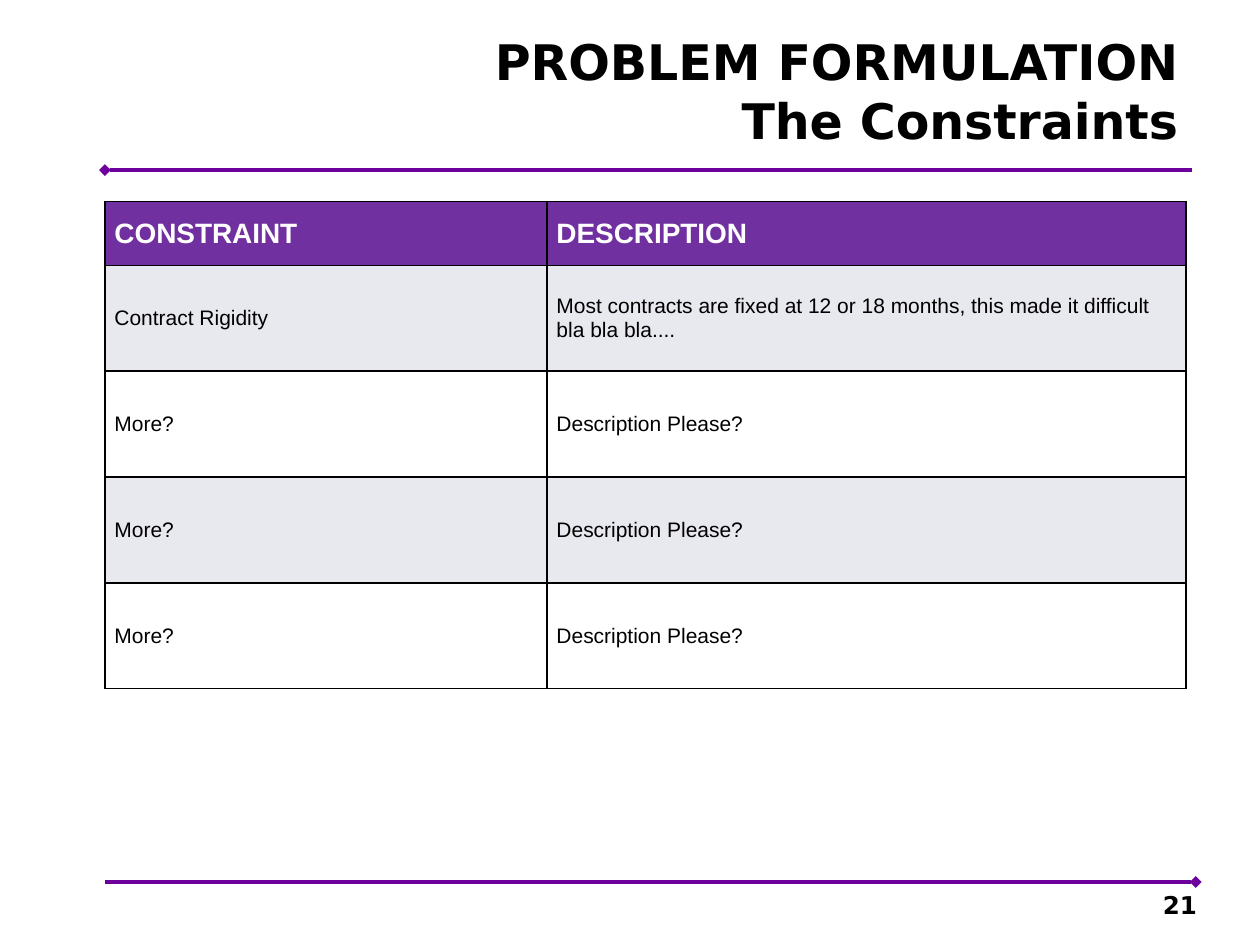
from copy import deepcopy
from dataclasses import dataclass
from typing import Any

from pptx import Presentation
from pptx.dml.color import RGBColor as Rgb
from pptx.enum.shapes import MSO_CONNECTOR as Connector
from pptx.enum.text import MSO_ANCHOR as Anchor, MSO_AUTO_SIZE as AutoSize, PP_ALIGN as Align
from pptx.oxml.ns import qn
from pptx.util import Pt
from lxml.etree import SubElement


@dataclass(frozen=True)
class Theme:
    rule: str = "6D009D"
    header: str = "7030A0"
    band: str = "E8E8EF"
    white: str = "FFFFFF"
    black: str = "000000"
    display_font: str = "DejaVu Sans"
    table_font: str = "Arial"
    title_size: float = 28
    header_size: float = 16
    number_size: float = 14
    body_size: float = 12


@dataclass(frozen=True)
class TextStyle:
    font: str
    size: float
    color: str
    bold: bool


@dataclass(frozen=True)
class Rule:
    left: float
    right: float
    top: float
    diamond_end: str


THEME = Theme()
TITLE = TextStyle(THEME.display_font, THEME.title_size, THEME.black, True)
NUMBER = TextStyle(THEME.display_font, THEME.number_size, THEME.black, True)
HEADER = TextStyle(THEME.table_font, THEME.header_size, THEME.white, True)
BODY = TextStyle(THEME.table_font, THEME.body_size, THEME.black, False)

RULES = [Rule(60, 681, 97.2, "headEnd"), Rule(60, 683.3, 504, "tailEnd")]
ROWS = [
    ("CONSTRAINT", "DESCRIPTION"),
    ("Contract Rigidity",
     "Most contracts are fixed at 12 or 18 months, this made it difficult bla bla bla...."),
    *[("More?", "Description Please?")] * 3,
]
COLUMN_WIDTHS = (252.6, 365)
HEADER_HEIGHT, BODY_HEIGHT = 36.4, 60.5


def set_all(target: Any, values: dict[str, Any]) -> None:
    for name, value in values.items():
        setattr(target, name, value)


def write_text(frame: Any, text: str, style: TextStyle, align: Align) -> None:
    frame.text = text
    for paragraph in frame.paragraphs:
        set_all(paragraph, {"alignment": align, "space_before": Pt(0)})
        for run in paragraph.runs:
            set_all(run.font, {"name": style.font, "size": Pt(style.size), "bold": style.bold})
            run.font.color.rgb = Rgb.from_string(style.color)
        # Line breaks take the run format so that line heights agree
        for line_break in paragraph._p.findall(qn("a:br")):
            line_break.append(deepcopy(paragraph.runs[0].font._element))


def place(shape: Any, left: float, top: float, width: float, height: float) -> None:
    set_all(shape, {"left": Pt(left), "top": Pt(top), "width": Pt(width), "height": Pt(height)})


def set_frame(frame: Any, anchor: Anchor, right_inset: float) -> None:
    set_all(frame, {
        "word_wrap": True, "auto_size": AutoSize.NONE, "vertical_anchor": anchor,
        "margin_left": Pt(7.2), "margin_right": Pt(right_inset),
        "margin_top": Pt(3.6), "margin_bottom": Pt(3.6),
    })


def draw_rule(slide: Any, rule: Rule) -> None:
    connector = slide.shapes.add_connector(
        Connector.STRAIGHT, Pt(rule.left), Pt(rule.top), Pt(rule.right), Pt(rule.top))
    connector.line.color.rgb = Rgb.from_string(THEME.rule)
    connector.line.width = Pt(2.25)
    SubElement(connector.line._get_or_add_ln(), qn(f"a:{rule.diamond_end}"), type="diamond")
    SubElement(connector._element.spPr, qn("a:effectLst"))


def format_cell(cell: Any, text: str, style: TextStyle, fill: str) -> None:
    write_text(cell.text_frame, text, style, Align.LEFT)
    set_all(cell, {
        "vertical_anchor": Anchor.MIDDLE, "margin_left": Pt(5.4), "margin_right": Pt(5.4),
        "margin_top": Pt(0), "margin_bottom": Pt(0),
    })
    properties = cell._tc.get_or_add_tcPr()
    for side in ("lnL", "lnR", "lnT", "lnB"):
        border = SubElement(properties, qn(f"a:{side}"), w=str(Pt(1)))
        SubElement(SubElement(border, qn("a:solidFill")), qn("a:srgbClr"), val=THEME.black)
    cell.fill.solid()
    cell.fill.fore_color.rgb = Rgb.from_string(fill)


def draw_table(slide: Any) -> None:
    heights = [HEADER_HEIGHT] + [BODY_HEIGHT] * (len(ROWS) - 1)
    table = slide.shapes.add_table(
        len(ROWS), len(COLUMN_WIDTHS), Pt(60), Pt(115.2),
        Pt(sum(COLUMN_WIDTHS)), Pt(sum(heights))).table
    for column, width in zip(table.columns, COLUMN_WIDTHS):
        column.width = Pt(width)
    for index, (texts, height) in enumerate(zip(ROWS, heights)):
        table.rows[index].height = Pt(height)
        band = THEME.band if index % 2 else THEME.white
        style, fill = (BODY, band) if index else (HEADER, THEME.header)
        for column, text in enumerate(texts):
            format_cell(table.cell(index, column), text, style, fill)


presentation = Presentation()
set_all(presentation, {"slide_width": Pt(720), "slide_height": Pt(540)})
slide = presentation.slides.add_slide(presentation.slide_layouts[5])

# Rules above and below the content
for rule in RULES:
    draw_rule(slide, rule)

# Title
title = slide.shapes.title
place(title, 190, 12.2, 490.4, 79.2)
set_frame(title.text_frame, Anchor.MIDDLE, 7.2)
write_text(title.text_frame, "PROBLEM FORMULATION\vThe Constraints", TITLE, Align.RIGHT)

# Page number
number = slide.shapes.add_textbox(Pt(516.2), Pt(508.3), Pt(167.8), Pt(20.9))
set_frame(number.text_frame, Anchor.BOTTOM, 0)
write_text(number.text_frame, "21", NUMBER, Align.RIGHT)

# Constraints table
draw_table(slide)

presentation.save("out.pptx")
